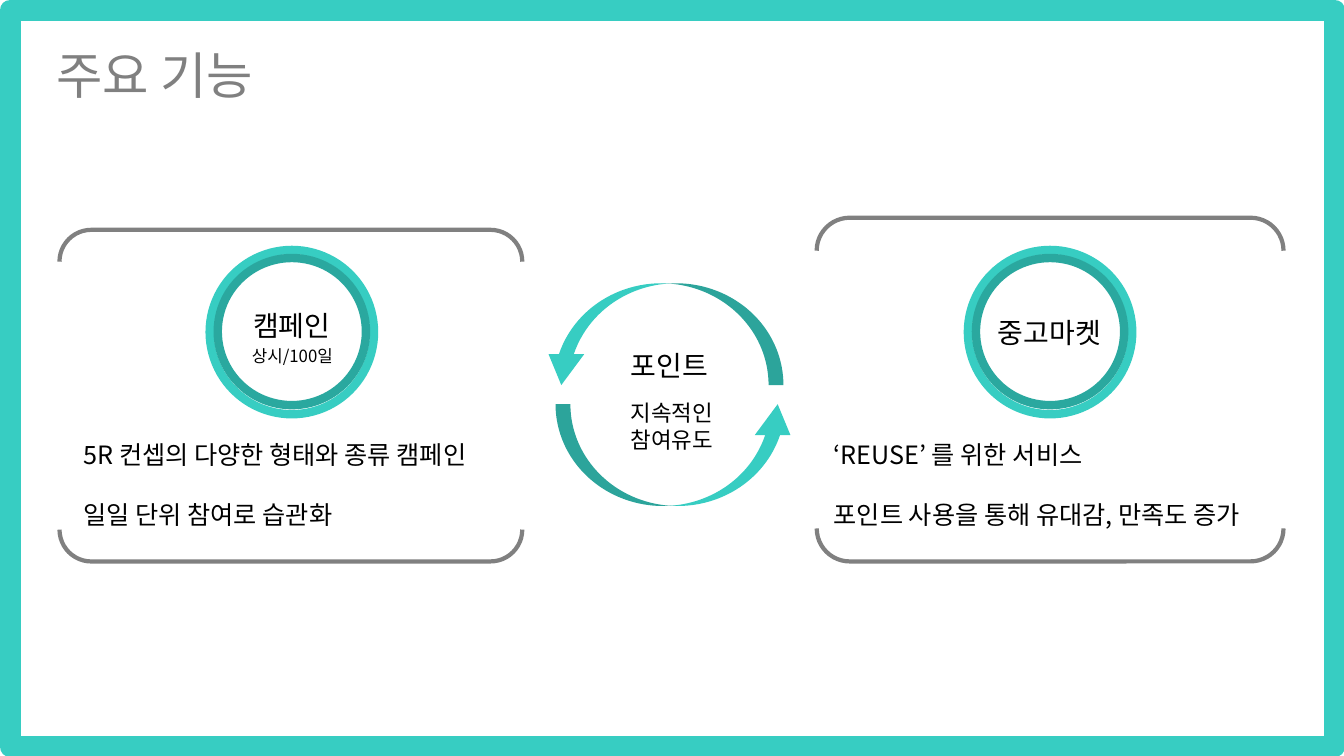
from lxml.etree import SubElement
from pptx import Presentation
from pptx.dml.color import RGBColor
from pptx.enum.shapes import MSO_SHAPE
from pptx.enum.text import PP_ALIGN
from pptx.oxml.ns import qn
from pptx.util import Inches, Pt

FONT = "Noto Sans CJK KR"
COLORS = {"mint": "37CDC2", "teal": "2AA89F", "gray": "808080",
          "black": "000000", "white": "FFFFFF"}


class Deck:
    """Holds the style and the current slide."""

    def __init__(self, wide, high):
        self.show = Presentation()
        self.show.slide_width = Inches(wide)
        self.show.slide_height = Inches(high)
        self.slide = self.show.slides.add_slide(self.show.slide_layouts[6])

    def color(self, name):
        return RGBColor.from_string(COLORS[name])

    def shape(self, kind, box, fill=None, line=None, width=0, turn=0, adj=()):
        item = self.slide.shapes.add_shape(kind, *map(Inches, box))
        item.shadow.inherit = False
        item.rotation = turn
        for i, value in enumerate(adj):
            item.adjustments[i] = value
        if fill:
            item.fill.solid()
            item.fill.fore_color.rgb = self.color(fill)
        else:
            item.fill.background()
        if line:
            item.line.color.rgb = self.color(line)
            item.line.width = Pt(width)
        else:
            item.line.fill.background()

    def text(self, box, lines, size, color="black", align=PP_ALIGN.CENTER,
             gap=0, wrap=True):
        frame = self.slide.shapes.add_textbox(*map(Inches, box)).text_frame
        frame.word_wrap = wrap
        for i, line in enumerate(lines):
            par = frame.add_paragraph() if i else frame.paragraphs[0]
            par.text = line
            par.alignment = align
            par.space_before = Pt(gap if i else 0)
            par.font.name = FONT
            par.font.size = Pt(size)
            par.font.color.rgb = self.color(color)
            # Hangul takes its face from the East Asian font
            props = par._p.pPr.find(qn("a:defRPr"))
            SubElement(props, qn("a:ea")).set("typeface", FONT)

    def arrow(self, left, top, turn):
        self.shape(MSO_SHAPE.CURVED_UP_ARROW, (left, top, 2.38, 1.01),
                   fill="mint", turn=turn, adj=(0.146, 0.35, 0.303))

    def bracket(self, box):
        self.shape(MSO_SHAPE.DOUBLE_BRACKET, box, line="gray", width=3,
                   turn=90, adj=(0.096,))

    def badge(self, left, top):
        """Draw a white disc with a mint outer and a teal inner ring."""
        self.shape(MSO_SHAPE.OVAL, (left, top, 1.63, 1.63),
                   fill="white", line="mint", width=6)
        self.shape(MSO_SHAPE.OVAL, (left + 0.08, top + 0.08, 1.47, 1.46),
                   line="teal", width=6)

    def notes(self, box, lines):
        self.text(box, lines, 18, align=PP_ALIGN.LEFT, gap=21.5)


def main():
    deck = Deck(13.33, 7.5)
    deck.shape(MSO_SHAPE.RECTANGLE, (0.1, 0.1, 13.14, 7.31),
               line="mint", width=15)
    deck.text((0.46, 0.39, 2.93, 0.71), ["주요 기능"], 36, "gray",
              PP_ALIGN.LEFT)

    # Points cycle
    deck.text((5.7, 3.91, 1.93, 0.64), ["지속적인", "참여유도"], 16)
    deck.text((6.12, 3.41, 1.04, 0.44), ["포인트"], 20, wrap=False)
    deck.arrow(5.51, 4.01, 0)
    deck.arrow(5.39, 2.81, 180)

    # Campaign
    deck.bracket((1.24, 1.63, 3.29, 4.59))
    deck.badge(2.08, 2.48)
    deck.text((2.17, 3.38, 1.46, 0.3), ["상시/100일"], 12)
    deck.text((2.39, 3.01, 1.01, 0.42), ["캠페인"], 20, wrap=False)
    deck.notes((0.73, 4.31, 4.34, 1.01),
               ["5R 컨셉의 다양한 형태와 종류 캠페인", "일일 단위 참여로 습관화"])

    # Second-hand market
    deck.bracket((8.71, 1.55, 3.41, 4.63))
    deck.badge(9.6, 2.48)
    deck.text((9.75, 3.08, 1.32, 0.44), ["중고마켓"], 20, wrap=False)
    deck.notes((8.17, 4.31, 4.49, 1.01),
               ["‘REUSE’ 를 위한 서비스", "포인트 사용을 통해 유대감, 만족도 증가"])

    deck.show.save("out.pptx")


if __name__ == "__main__":
    main()
